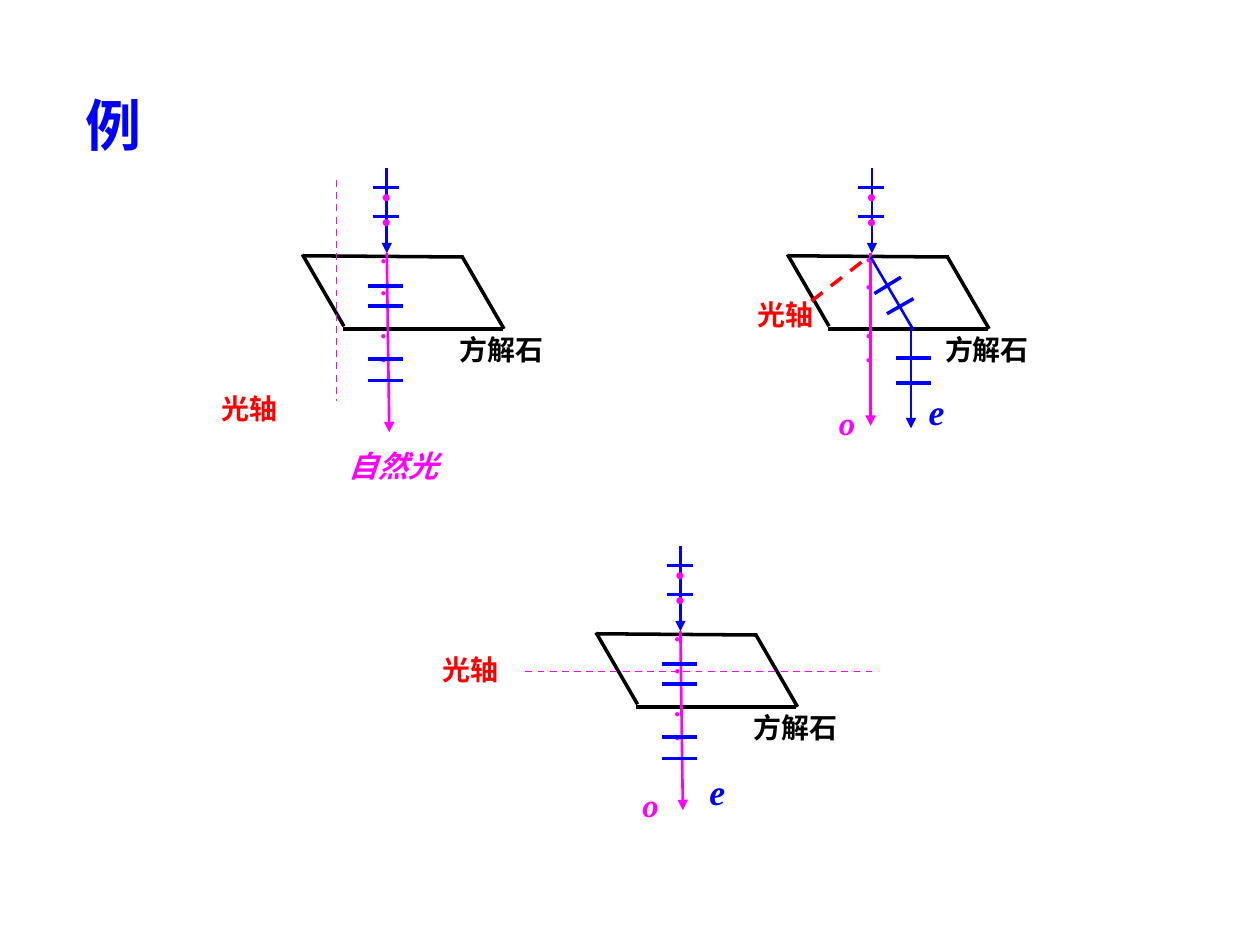
from lxml.etree import SubElement
from pptx import Presentation
from pptx.dml.color import RGBColor
from pptx.enum.dml import MSO_LINE
from pptx.enum.shapes import MSO_CONNECTOR
from pptx.enum.text import MSO_AUTO_SIZE, PP_ALIGN
from pptx.oxml.ns import qn
from pptx.util import Inches, Pt

COLUMNS, ROWS = 1000, 750
SLIDE_WIDTH, SLIDE_HEIGHT = Inches(10), Inches(7.5)
BLUE, MAGENTA, RED, BLACK = "0000FF", "FF00FF", "FF0000", "000000"
LATIN, HAN = "Times New Roman", "Noto Sans CJK SC"
CRYSTAL_EDGES = [
    (-66, 70, 61, 71),
    (-35, 128, 92, 128),
    (-67, 69, -34, 126),
    (60, 71, 93, 128),
]


def color(value):
    return RGBColor.from_string(value)


def across(columns):
    return round(SLIDE_WIDTH * columns / COLUMNS)


def down(rows):
    return round(SLIDE_HEIGHT * rows / ROWS)


def apply(target, formats):
    for name, value in formats.items():
        setattr(target, name, value)


class Diagram:
    def __init__(self, page, left, top):
        self.shapes = page.shapes.add_group_shape().shapes
        self.left, self.top = left, top

    def line(self, ends, hue, width=2, arrow=False, dash=None):
        x1, y1, x2, y2 = ends
        connector = self.shapes.add_connector(
            MSO_CONNECTOR.STRAIGHT,
            across(self.left + x1), down(self.top + y1),
            across(self.left + x2), down(self.top + y2),
        )
        connector.line.color.rgb = color(hue)
        apply(connector.line, {"width": Pt(width), "dash_style": dash})
        properties = connector._element.spPr
        if arrow:
            SubElement(connector.line._get_or_add_ln(), qn("a:tailEnd"), type="triangle")
        SubElement(properties, qn("a:effectLst"))

    def label(self, text, place, size, hue, italic=False, inset=1):
        x, y, width, height = place
        box = (self.left + x, self.top + y, width, height)
        return add_text(self.shapes, text, box, size, hue, italic, inset)

    def bars(self, left, right, heights, width=2):
        for y in heights:
            self.line((left, y, right, y), BLUE, width)

    def dots(self, heights, place, size):
        for y in heights:
            self.label("·", (-7, y, *place), size, MAGENTA)

    def incoming_light(self):
        self.line((0, 0, 0, 68), BLUE, 1.5, arrow=True)
        self.bars(-11, 10, (16, 39), 1.5)
        self.dots((0, 20), (46, 47), 24.8)

    def calcite(self):
        for edge in CRYSTAL_EDGES:
            self.line(edge, BLACK)
        self.label("方解石", (57, 130, 75, 32), 16, BLACK)

    def axis(self, ends, place, hue=MAGENTA, width=1):
        self.line(ends, hue, width, dash=MSO_LINE.DASH)
        self.label("光轴", (*place, 79, 39), 16, RED)

    def ordinary_ray(self, ends, heights):
        self.line(ends, MAGENTA, 1.5, arrow=True)
        self.dots(heights, (33, 29), 15.2)

    def ray_names(self, ordinary, extraordinary):
        self.label("o", (*ordinary, 43, 43), 18.7, MAGENTA, True, inset=None)
        self.label("e", (*extraordinary, 46, 42), 20.4, BLUE, True)


def add_text(shapes, text, place, size, hue, italic=False, inset=None):
    x, y, width, height = place
    box = shapes.add_textbox(across(x), down(y), across(width), down(height))
    frame = box.text_frame
    frame.word_wrap = True
    if inset is not None:
        sides = ("left", "right", "top", "bottom")
        apply(frame, {f"margin_{side}": across(inset) for side in sides})
    para = frame.paragraphs[0]
    para.alignment = PP_ALIGN.JUSTIFY
    span = para.add_run()
    span.text = text
    apply(span.font, {"size": Pt(size), "bold": True, "italic": italic, "name": LATIN})
    span.font.color.rgb = color(hue)
    SubElement(span.font._element, qn("a:ea"), typeface=HAN)
    return box


def add_title(page):
    box = add_text(page.shapes, "例", (58, 67, 142, 64), 32, BLUE)
    box.text_frame.auto_size = MSO_AUTO_SIZE.SHAPE_TO_FIT_TEXT
    para = box.text_frame.paragraphs[0]
    para.alignment = PP_ALIGN.LEFT
    para.runs[0].font.name = HAN


def add_unsplit_diagram(page, left, top):
    diagram = Diagram(page, left, top)
    diagram.calcite()
    diagram.ordinary_ray((0, 68, 2, 210), (60, 85, 119, 138))
    diagram.bars(-15, 13, (94, 110, 152, 169))
    diagram.incoming_light()
    return diagram


def add_split_diagram(page, left, top):
    diagram = Diagram(page, left, top)
    diagram.calcite()
    diagram.ordinary_ray((-1, 68, -1, 205), (59, 80, 119, 138))
    diagram.line((31, 128, 31, 207), BLUE, 1.5, arrow=True)
    diagram.line((-1, 71, 33, 129), BLUE, 1.5)
    for tick in ((2, 100, 23, 87), (12, 116, 33, 104)):
        diagram.line(tick, BLUE)
    diagram.bars(19, 47, (151, 171))
    diagram.axis((-48, 106, -3, 71), (-92, 102), RED, 2)
    diagram.incoming_light()
    diagram.ray_names((-36, 182), (44, 175))


def main():
    deck = Presentation()
    apply(deck, {"slide_width": SLIDE_WIDTH, "slide_height": SLIDE_HEIGHT})
    page = deck.slides.add_slide(deck.slide_layouts[6])
    add_title(page)

    add_split_diagram(page, 692, 133)

    parallel = add_unsplit_diagram(page, 307, 133)
    parallel.axis((-40, 10, -40, 185), (-132, 177))
    parallel.label("自然光", (-40, 217, 125, 42), 17.1, MAGENTA, True, inset=None)

    level = add_unsplit_diagram(page, 540, 433)
    level.axis((-123, 100, 152, 100), (-190, 84))
    level.ray_names((-40, 185), (22, 177))

    deck.save("out.pptx")


if __name__ == "__main__":
    main()
